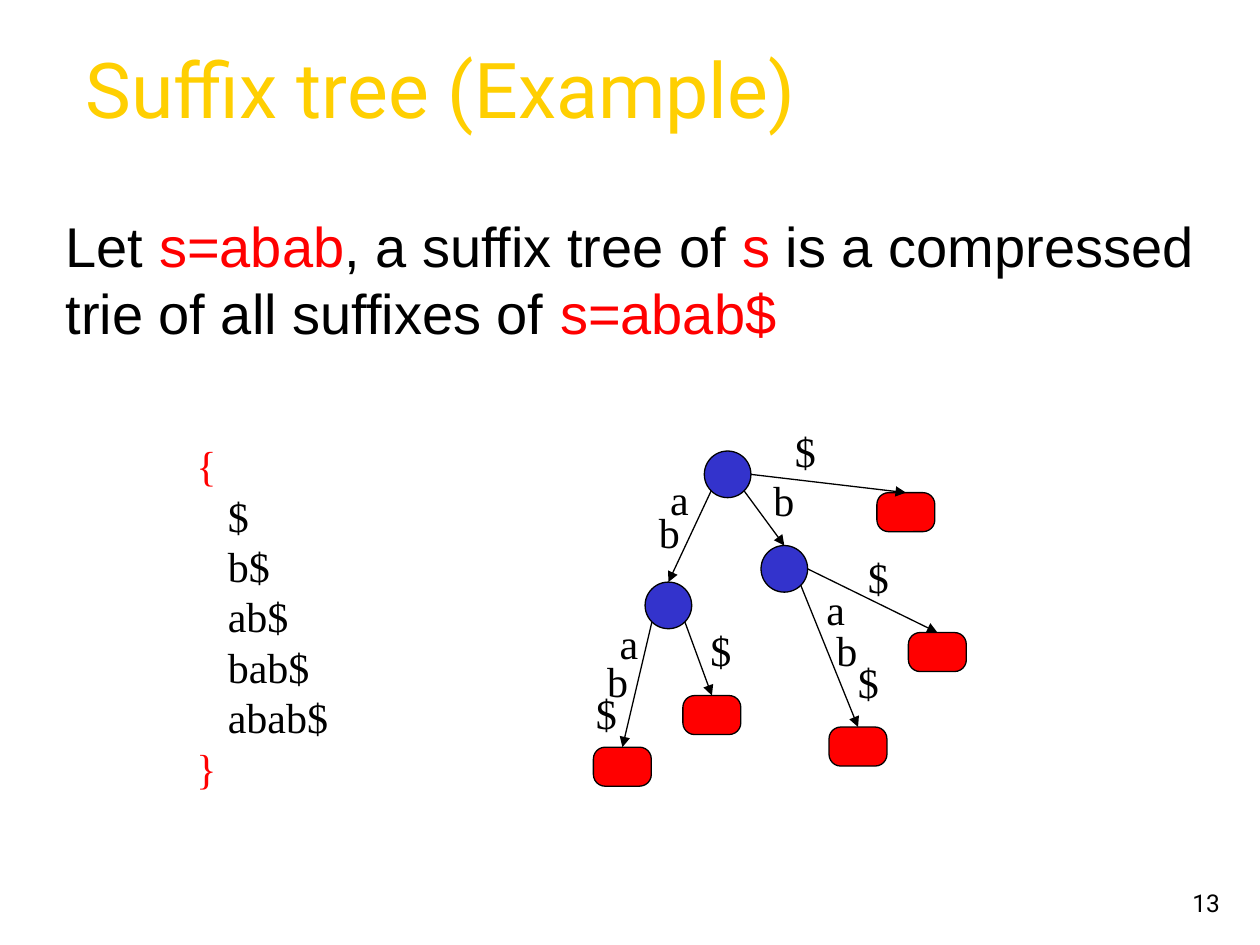
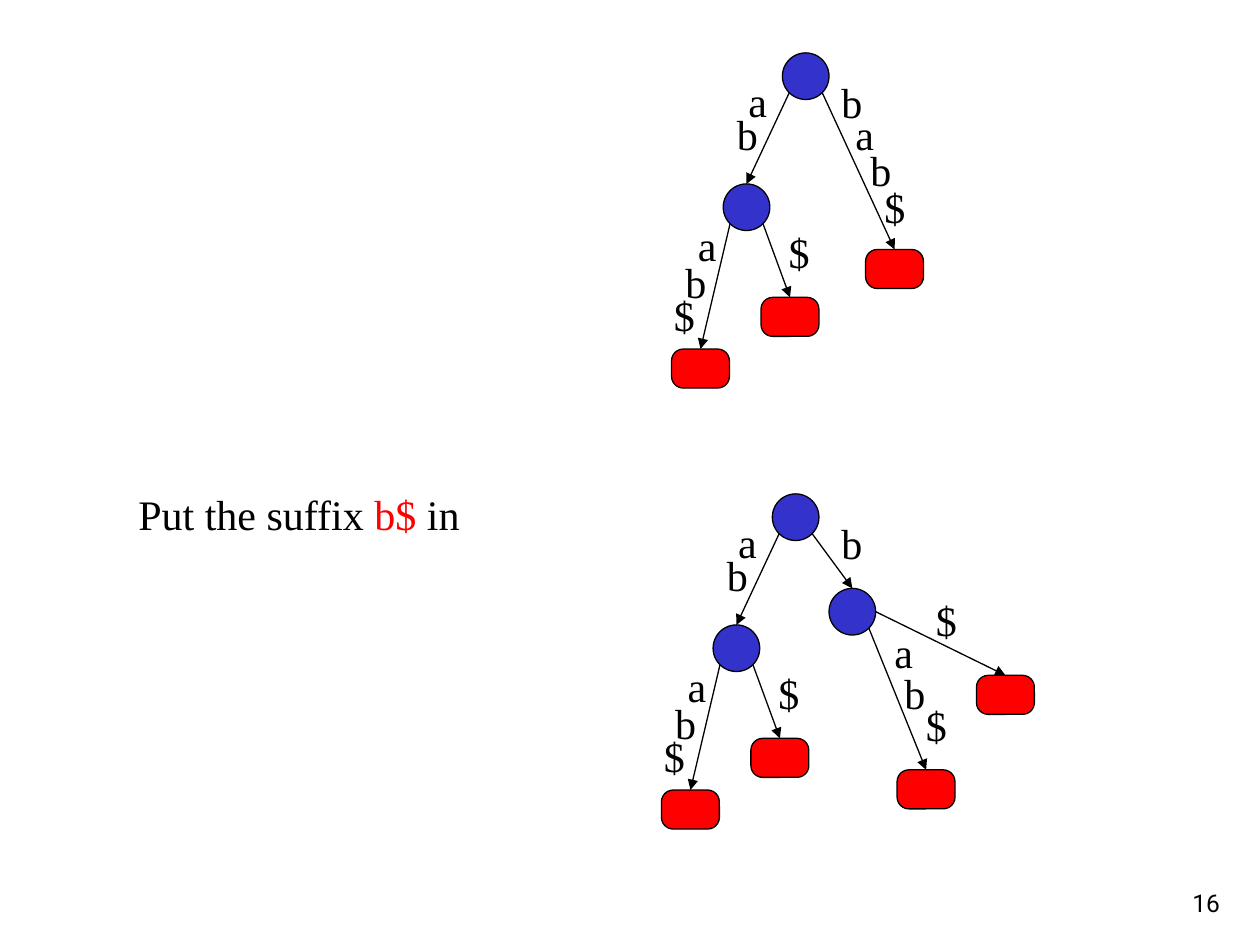
from math import sqrt

from lxml import etree
from pptx import Presentation
from pptx.dml.color import RGBColor
from pptx.enum.shapes import MSO_CONNECTOR, MSO_SHAPE
from pptx.enum.text import MSO_ANCHOR, MSO_AUTO_SIZE, PP_ALIGN
from pptx.oxml.ns import qn
from pptx.util import Inches, Pt

# Shared style
BLACK, RED, BLUE, GOLD = "000000", "FF0000", "3333CC", "FFCF01"
SERIF, SANS, DISPLAY = "Times New Roman", "Arial", "Roboto"
NODE_SIZE = 0.37
LEAF_WIDTH, LEAF_HEIGHT = 0.46, 0.31
LABEL_WIDTH, LABEL_HEIGHT = 0.42, 0.5

# Where an edge leaves its node, as shares of the radius from the centre
EXITS = {
    "left": (-1 / sqrt(2), 1 / sqrt(2)),
    "right": (1 / sqrt(2), 1 / sqrt(2)),
    "side": (1, 0),
}

# Branches, measured from the top left corner of the root:
# parent, exit, kind of child, child, letters along the edge
ROOT = (0, 0)
AB_NODE, B_NODE = (-0.47, 1.04), (0.45, 0.75)
AB_BRANCH = [
    (ROOT, "left", "node", AB_NODE, [("a", -0.37, 0.13), ("b", -0.46, 0.39)]),
    (AB_NODE, "left", "leaf", (-0.88, 2.35),
     [("a", -0.77, 1.27), ("b", -0.87, 1.57), ("$", -0.96, 1.83)]),
    (AB_NODE, "right", "leaf", (-0.17, 1.94), [("$", -0.05, 1.33)]),
]
BAB_LEAF = [
    (ROOT, "right", "leaf", (0.66, 1.56),
     [("b", 0.37, 0.14), ("a", 0.48, 0.39), ("b", 0.6, 0.68), ("$", 0.71, 0.97)]),
]
B_BRANCH = [
    (ROOT, "right", "node", B_NODE, [("b", 0.45, 0.14)]),
    (B_NODE, "right", "leaf", (0.99, 2.19),
     [("a", 0.87, 1), ("b", 0.95, 1.33), ("$", 1.12, 1.58)]),
    (B_NODE, "side", "leaf", (1.62, 1.44), [("$", 1.2, 0.75)]),
]
END_LEAF = [(ROOT, "side", "leaf", (1.37, 0.33), [("$", 0.62, -0.25)])]


def color(value):
    return RGBColor.from_string(value)


def write(paragraph, text, font=SERIF, size=24, fill=BLACK):
    """Add one formatted run to a paragraph."""
    run = paragraph.add_run()
    run.text = text
    run.font.name = font
    run.font.size = Pt(size)
    run.font.color.rgb = color(fill)


def write_parts(paragraph, parts, size=24, **style):
    """Write alternating black and red parts with even line height."""
    paragraph.line_spacing = Pt(1.2 * size)
    for index, part in enumerate(parts):
        if part:
            write(paragraph, part, size=size, fill=RED if index % 2 else BLACK, **style)


class Deck:
    def __init__(self):
        self.presentation = Presentation()
        self.presentation.slide_width = Inches(10)
        self.presentation.slide_height = Inches(7.5)
        self.slide = None

    def new_slide(self, layout, number):
        self.slide = self.presentation.slides.add_slide(
            self.presentation.slide_layouts.get_by_name(layout))
        frame = self.text_box(7.7, 6.83, 2.08, 0.5)
        frame.vertical_anchor = MSO_ANCHOR.BOTTOM
        paragraph = frame.paragraphs[0]
        paragraph.alignment = PP_ALIGN.RIGHT
        write(paragraph, str(number), font=DISPLAY, size=14)

    def place(self, shape, left, top, width, height):
        shape.left, shape.top = Inches(left), Inches(top)
        shape.width, shape.height = Inches(width), Inches(height)
        shape.text_frame.auto_size = MSO_AUTO_SIZE.NONE
        return shape.text_frame

    def title(self, text):
        frame = self.place(self.slide.shapes.title, 0.58, 0.23, 9.08, 0.93)
        frame.vertical_anchor = MSO_ANCHOR.MIDDLE
        frame.paragraphs[0].alignment = PP_ALIGN.LEFT
        write(frame.paragraphs[0], text, font=DISPLAY, size=44, fill=GOLD)

    def body(self, parts):
        frame = self.place(self.slide.placeholders[1], 0.42, 1.63, 9.25, 1.17)
        paragraph = frame.paragraphs[0]
        write_parts(paragraph, parts, font=SANS, size=32)
        paragraph.space_before = Pt(0)
        properties = paragraph._p.get_or_add_pPr()
        properties.set("marL", "0")
        properties.set("indent", "0")
        etree.SubElement(properties, qn("a:buNone"))

    def text_box(self, left, top, width, height):
        box = self.slide.shapes.add_textbox(
            Inches(left), Inches(top), Inches(width), Inches(height))
        box.text_frame.word_wrap = True
        return box.text_frame

    def text(self, parts, left, top, width, height):
        write_parts(self.text_box(left, top, width, height).paragraphs[0], parts)

    def suffix_set(self, suffixes, left, top, width, height):
        frame = self.text_box(left, top, width, height)
        lines = [["", "{"], *([suffix] for suffix in suffixes), ["", "}"]]
        for index, parts in enumerate(lines):
            paragraph = frame.add_paragraph() if index else frame.paragraphs[0]
            write_parts(paragraph, parts)
            if parts[0]:
                paragraph._p.get_or_add_pPr().set("marL", str(Inches(0.25)))

    def shape(self, preset, left, top, width, height, fill):
        shape = self.slide.shapes.add_shape(
            preset, Inches(left), Inches(top), Inches(width), Inches(height))
        shape.shadow.inherit = False
        shape.fill.solid()
        shape.fill.fore_color.rgb = color(fill)
        shape.line.color.rgb = color(BLACK)
        shape.line.width = Pt(0.75)
        return shape

    def node(self, left, top):
        self.shape(MSO_SHAPE.OVAL, left, top, NODE_SIZE, NODE_SIZE, BLUE)
        return NODE_SIZE

    def leaf(self, left, top):
        leaf = self.shape(MSO_SHAPE.ROUNDED_RECTANGLE, left, top, LEAF_WIDTH, LEAF_HEIGHT, RED)
        leaf.adjustments[0] = 0.3
        return LEAF_WIDTH

    def arrow(self, start, end):
        arrow = self.slide.shapes.add_connector(
            MSO_CONNECTOR.STRAIGHT, *(Inches(value) for value in (*start, *end)))
        arrow.line.color.rgb = color(BLACK)
        arrow.line.width = Pt(0.75)
        etree.SubElement(arrow.line._get_or_add_ln(), qn("a:tailEnd"), type="triangle")
        etree.SubElement(arrow._element.spPr, qn("a:effectLst"))

    def tree(self, left, top, edges):
        """Draw a root and its edges, each with its child and letters."""
        self.node(left, top)
        radius = NODE_SIZE / 2
        for parent, exit_name, kind, child, letters in edges:
            child_left, child_top = left + child[0], top + child[1]
            draw = self.node if kind == "node" else self.leaf
            width = draw(child_left, child_top)
            start = [origin + offset + radius * (1 + share) for origin, offset, share
                     in zip((left, top), parent, EXITS[exit_name])]
            self.arrow(start, (child_left + width / 2, child_top))
            for letter, across, down in letters:
                self.text([letter], left + across, top + down, LABEL_WIDTH, LABEL_HEIGHT)


def main():
    deck = Deck()

    # The suffix tree of abab
    deck.new_slide("Title and Content", 13)
    deck.title("Suffix tree (Example)")
    deck.body(["Let ", "s=abab", ", a suffix tree of ", "s",
               " is a compressed trie of all suffixes of ", "s=abab$"])
    word = "abab$"
    suffixes = [word[start:] for start in reversed(range(len(word)))]
    deck.suffix_set(suffixes, 1.46, 3.44, 1.33, 2.9)
    deck.tree(5.59, 3.58, AB_BRANCH + B_BRANCH + END_LEAF)

    # Before and after adding a suffix
    deck.new_slide("Blank", 16)
    deck.text(["Put the suffix ", "b$", " in"], 1, 3.83, 3.83, 0.5)
    deck.tree(6.21, 0.42, AB_BRANCH + BAB_LEAF)
    deck.tree(6.13, 3.92, AB_BRANCH + B_BRANCH)

    deck.presentation.save("out.pptx")


if __name__ == "__main__":
    main()
